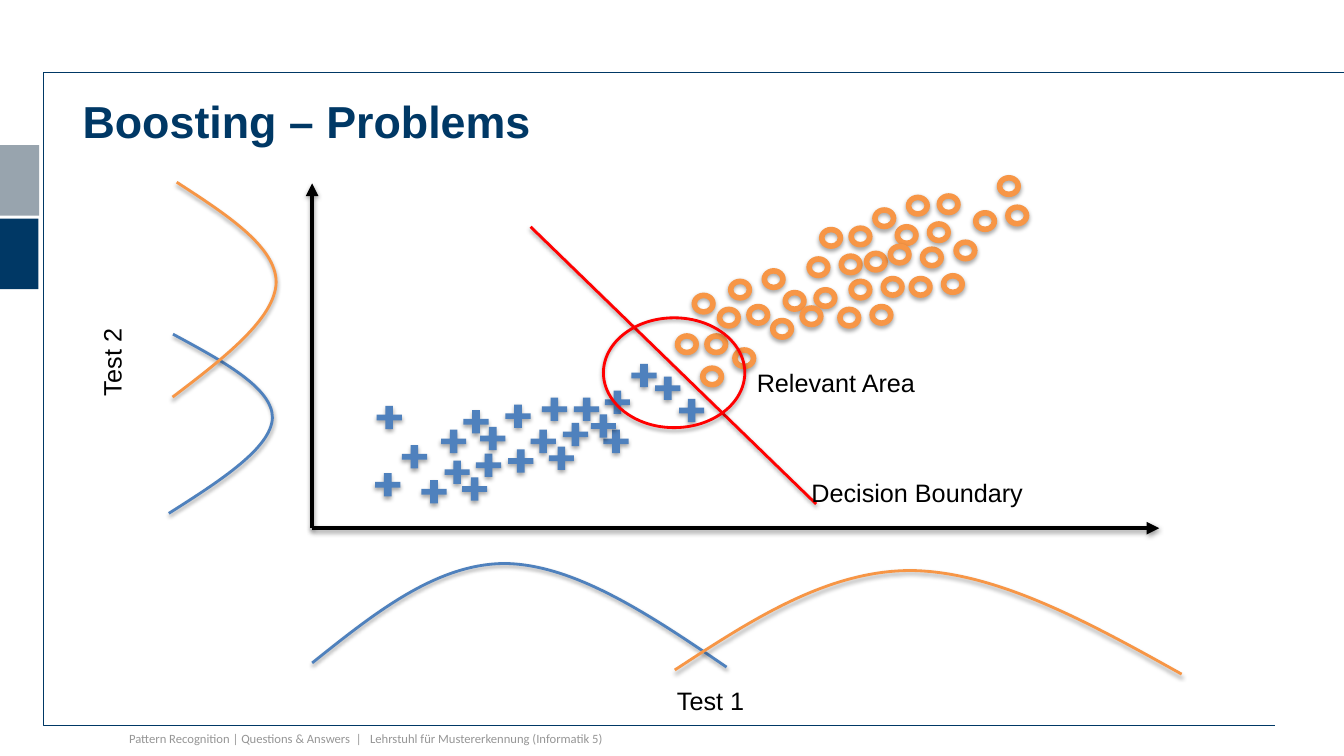
from lxml import etree
from pptx import Presentation
from pptx.dml.color import RGBColor
from pptx.enum.shapes import MSO_CONNECTOR as CONN, MSO_SHAPE as SHAPE
from pptx.enum.text import MSO_AUTO_SIZE as FIT
from pptx.oxml.ns import qn
from pptx.util import Pt

NAVY, GREY, BLUE, ORANGE, RED, BLACK = (
    "003865", "98A4AE", "4F81BD", "F79646", "FF0000", "000000")

# Upper left corners of the marks, relative to the plot
PLUSES = [
    (46, 159), (45, 207), (64, 187), (245, 138), (164, 153), (208, 176),
    (262, 154), (94.5, 198), (107, 210), (78, 212), (117, 193), (156, 176),
    (169, 188), (140, 190), (179, 171), (108, 162), (120, 174), (92, 176),
    (138, 158), (187, 153), (199, 165), (209, 148), (228, 129)]
RINGS = [
    (336, 76), (327, 96), (321, 60.5), (358, 74), (383, 68), (375, 88),
    (398, 86), (406, 66), (362, 31), (353, 52), (376, 50), (383, 30),
    (259, 107), (280, 107), (277, 130), (310, 86), (434, 45), (426, 66),
    (449, 64), (394, 48), (424, 8), (416, 29), (439, 27), (446, 7),
    (472, 19), (458, 40), (411, 43), (400, 17), (300, 117), (489, -6),
    (297, 68), (289, 88), (271, 78), (348, 87), (495, 15)]

# Start, then the control and end points of two cubic curves, in a unit square
BELL = [(0, .96), (.15, .48), (.3, 0), (.466, 0),
        (.634, .01), (.817, .5), (1, 1)]


def color(value):
    return RGBColor.from_string(value)


def add_shadow(s, dist=1.8, alpha=35):
    effects = etree.SubElement(s._element.spPr, qn("a:effectLst"))
    outer = etree.SubElement(
        effects, qn("a:outerShdw"), blurRad=str(Pt(3)), dist=str(Pt(dist)),
        dir="5400000", rotWithShape="0")
    black = etree.SubElement(outer, qn("a:srgbClr"), val=BLACK)
    etree.SubElement(black, qn("a:alpha"), val=str(alpha * 1000))


def add_text(slide, box, text, size=18, font="Arial", fill=BLACK, bold=False,
             inset=3.6, wrap=False, rotation=0, fit=FIT.SHAPE_TO_FIT_TEXT):
    s = slide.shapes.add_textbox(*map(Pt, box))
    s.rotation = rotation
    tf = s.text_frame
    tf.margin_left = tf.margin_right = tf.margin_top = tf.margin_bottom = Pt(inset)
    tf.word_wrap = wrap
    tf.auto_size = fit
    r = tf.paragraphs[0].add_run()
    r.text = text
    r.font.name, r.font.size, r.font.bold = font, Pt(size), bold
    r.font.color.rgb = color(fill)


def add_shape(slide, kind, box, fill=None, line=None, shadow=True):
    s = slide.shapes.add_shape(kind, *map(Pt, box))
    if fill:
        s.fill.solid()
        s.fill.fore_color.rgb = color(fill)
    else:
        s.fill.background()
    if line:
        s.line.color.rgb = color(line)
        s.line.width = Pt(2)
    else:
        s.line.fill.background()
    if shadow:
        add_shadow(s)
    else:
        s.shadow.inherit = False
    return s


def add_line(slide, start, end, line, width, arrow=False):
    s = slide.shapes.add_connector(CONN.STRAIGHT, *map(Pt, (*start, *end)))
    s.line.color.rgb = color(line)
    s.line.width = Pt(width)
    if arrow:
        etree.SubElement(s.line._get_or_add_ln(), qn("a:tailEnd"), type="triangle")
    add_shadow(s, 1.6, 38)


def add_outline(slide, points, line, width):
    points = [(Pt(x), Pt(y)) for x, y in points]
    builder = slide.shapes.build_freeform(*points[0], scale=1.0)
    builder.add_line_segments(points[1:], close=False)
    s = builder.convert_to_shape()
    s.fill.background()
    s.line.color.rgb = color(line)
    s.line.width = Pt(width)
    return s


def draw_bell(slide, box, line, rotation=0):
    x, y, w, h = box
    s = add_outline(slide, [(x + u * w, y + v * h) for u, v in BELL], line, 2)
    s.rotation = rotation
    # Turn every three line segments into one cubic curve
    segments = list(s._element.iter(qn("a:lnTo")))
    outline = segments[0].getparent()
    for i in range(0, len(segments), 3):
        curve = etree.SubElement(outline, qn("a:cubicBezTo"))
        for segment in segments[i:i + 3]:
            curve.append(segment[0])
            outline.remove(segment)
    add_shadow(s)


def draw_frame(slide, box):
    x, y, w, h = box
    # Side tabs
    add_shape(slide, SHAPE.RECTANGLE, (0, y + 104.4, x - 3.6, 50.4), NAVY, shadow=False)
    add_shape(slide, SHAPE.RECTANGLE, (0, y + 51.8, x - 3, 50.4), GREY, shadow=False)
    # Border
    s = add_outline(slide, [(x + w, y), (x, y), (x, y + h), (x + w - 49, y + h)],
                    NAVY, 0.75)
    s.shadow.inherit = False
    # Footer and title
    add_text(slide, (x + 57.6, y + h, 749, 18),
             "Pattern Recognition | Questions & Answers  |   "
             "Lehrstuhl für Mustererkennung (Informatik 5)",
             size=9, font="Calibri", fill="969696", wrap=True)
    add_text(slide, (x + 28, y + 15, 875.5, 438.5), "Boosting – Problems",
             size=32, fill=NAVY, bold=True, inset=0, wrap=True, fit=FIT.NONE)


def draw_plot(slide, box):
    x, y, w, h = box
    # Axes
    origin = (x, y + h)
    add_line(slide, origin, (x + w, y + h), BLACK, 3, arrow=True)
    add_line(slide, origin, (x, y), BLACK, 3, arrow=True)
    # Marks of both classes
    for dx, dy in PLUSES:
        s = add_shape(slide, SHAPE.CROSS, (x + dx, y + dy, 18, 16.6), BLUE)
        s.adjustments[0] = 0.378
    for dx, dy in RINGS:
        add_shape(slide, SHAPE.DONUT, (x + dx, y + dy, 17.3, 15.8), ORANGE)
    # Decision boundary and relevant area
    add_line(slide, (x + 156, y + 31), (x + 360, y + 229), RED, 2)
    add_text(slide, (x + 353, y + 206.5, 160, 29), "Decision Boundary")
    add_shape(slide, SHAPE.OVAL, (x + 208, y + 96, 101, 78.5), line=RED)
    add_text(slide, (x + 314, y + 128, 122, 29), "Relevant Area")


def draw_test1(slide, box):
    x, y, w, h = box
    draw_bell(slide, (x, y, 296, 74), BLUE)
    draw_bell(slide, (x + w - 362, y + 5, 362, 74), ORANGE)
    add_text(slide, (x + 257, y + h - 29, 55.5, 29), "Test 1")


def draw_test2(slide, box):
    x, y, w, h = box
    # Bells are laid out flat and then turned about their centres
    draw_bell(slide, (x + 41.6, y + 135.4, 128, 74), BLUE, rotation=90)
    draw_bell(slide, (x + 31.5, y + 39.6, 153.5, 74), ORANGE, rotation=90)
    add_text(slide, (x, y + 114, 55.5, 29), "Test 2", rotation=270)


def main():
    prs = Presentation()
    prs.slide_width, prs.slide_height = Pt(960), Pt(540)
    slide = prs.slides.add_slide(prs.slide_layouts[6])
    draw_frame(slide, (31, 51.8, 929, 466.6))
    draw_plot(slide, (223, 131, 605, 246.3))
    draw_test1(slide, (223, 402.5, 621, 112.5))
    draw_test2(slide, (52, 130.3, 145.5, 236.5))
    prs.save("out.pptx")


if __name__ == "__main__":
    main()
